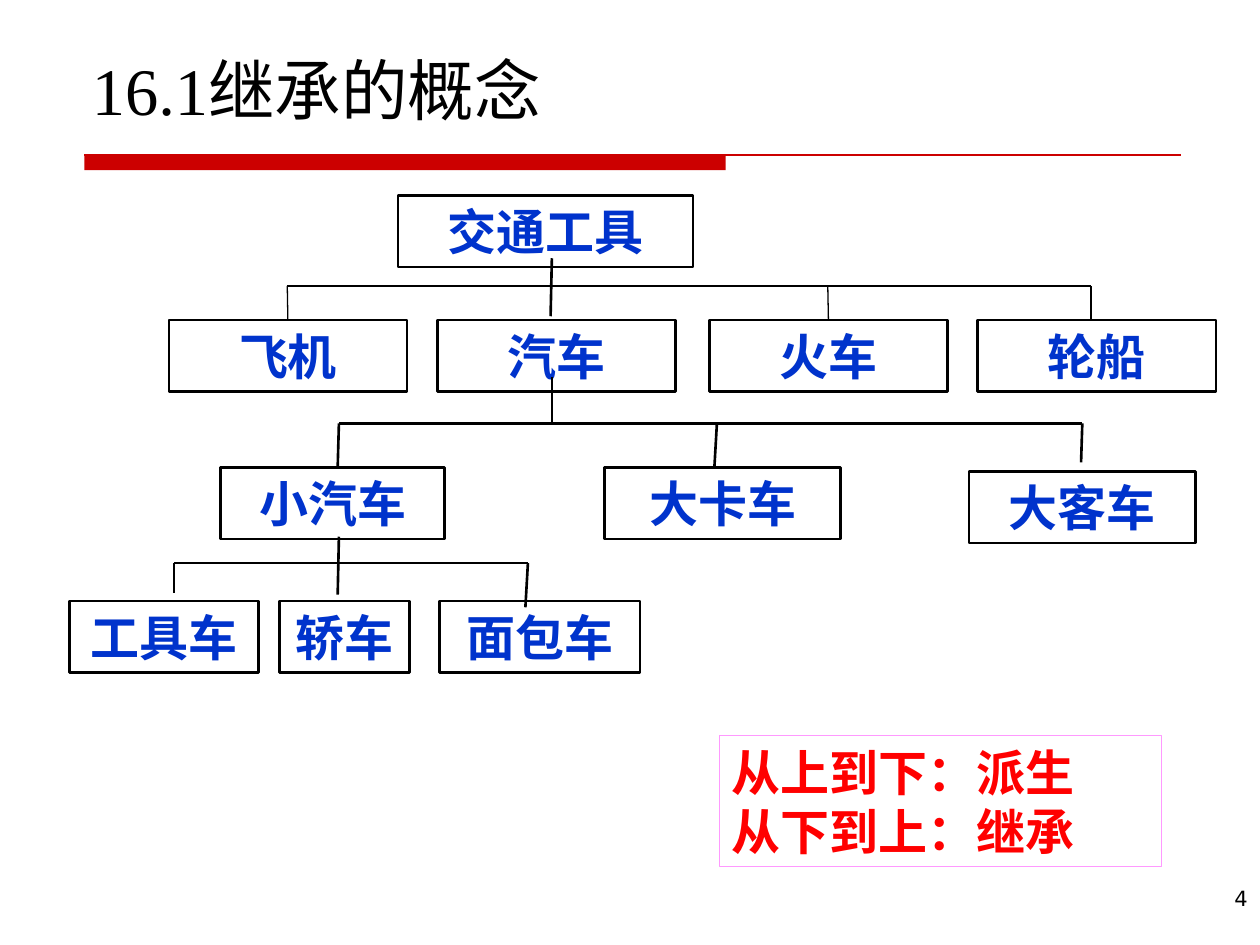
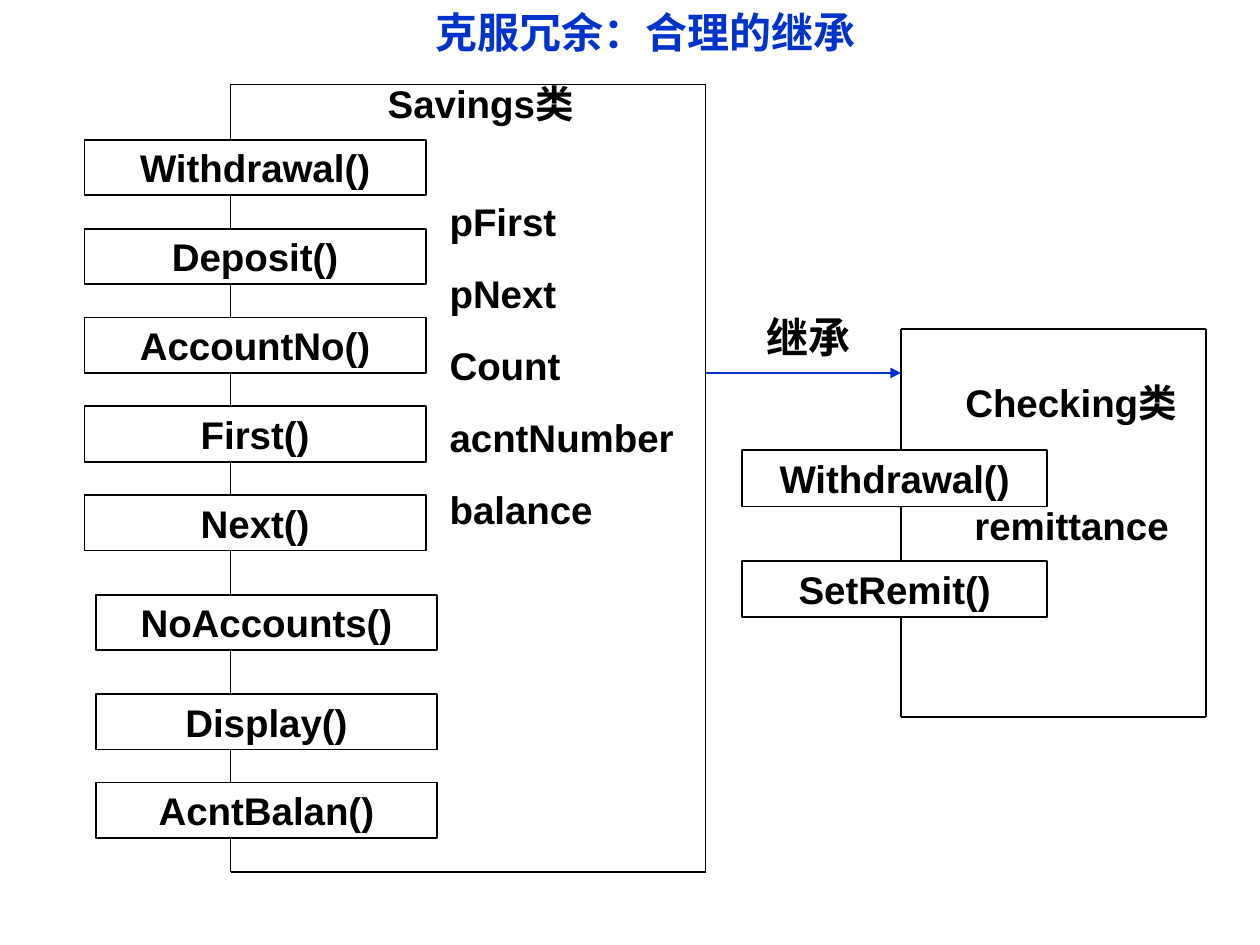
from lxml import etree
from pptx import Presentation
from pptx import util as u
from pptx.dml.color import RGBColor
from pptx.enum import shapes, text
from pptx.oxml import ns

BLACK = RGBColor(0x00, 0x00, 0x00)
BLUE = RGBColor(0x00, 0x33, 0xCC)
RED = RGBColor(0xFF, 0x00, 0x00)
BAND_RED = RGBColor(0xCC, 0x00, 0x00)
PINK = RGBColor(0xFF, 0x99, 0xFF)
LEFT, CENTER, RIGHT = text.PP_ALIGN.LEFT, text.PP_ALIGN.CENTER, text.PP_ALIGN.RIGHT
TOP, MIDDLE, BOTTOM = text.MSO_ANCHOR.TOP, text.MSO_ANCHOR.MIDDLE, text.MSO_ANCHOR.BOTTOM
CJK_FONT = "Noto Sans CJK SC"


class Deck:
    """Draw styled elements on the current slide."""

    def __init__(self):
        self.prs = Presentation()
        self.prs.slide_width, self.prs.slide_height = u.Inches(10), u.Inches(7.5)
        self.s = None

    def new_slide(self):
        self.s = self.prs.slides.add_slide(self.prs.slide_layouts[6])

    def set_text(self, sp, words, size, color, font="Arial", bold=True,
                 align=CENTER, anchor=MIDDLE, gap=0):
        tf = sp.text_frame
        tf.word_wrap = True
        tf.vertical_anchor = anchor
        tf.text = words
        for i, p in enumerate(tf.paragraphs):
            p.alignment = align
            if i and gap:
                p.space_before = u.Pt(gap)
            for r in p.runs:
                r.font.name, r.font.size, r.font.bold = font, u.Pt(size), bold
                r.font.color.rgb = color
                if font == CJK_FONT:
                    ea = etree.SubElement(r.font._element, ns.qn("a:ea"))
                    ea.set("typeface", font)

    def label(self, words, x, y, w, h, size=22, color=BLACK, **style):
        sp = self.s.shapes.add_textbox(*map(u.Inches, (x, y, w, h)))
        self.set_text(sp, words, size, color, **style)

    def box(self, words, x, y, w, h, size, color, line=BLACK, width=1.5, **style):
        sp = self.s.shapes.add_shape(shapes.MSO_SHAPE.RECTANGLE, *map(u.Inches, (x, y, w, h)))
        sp.shadow.inherit = False
        sp.fill.background()
        sp.line.color.rgb, sp.line.width = line, u.Pt(width)
        self.set_text(sp, words, size, color, **style)
        return sp

    def line(self, x1, y1, x2, y2, width=1.5, color=BLACK, arrow=False, target=None):
        c = self.s.shapes.add_connector(shapes.MSO_CONNECTOR.STRAIGHT,
                                        *map(u.Inches, (x1, y1, x2, y2)))
        c.line.color.rgb, c.line.width = color, u.Pt(width)
        if arrow:
            etree.SubElement(c.line._get_or_add_ln(), ns.qn("a:tailEnd"), type="triangle")
        etree.SubElement(c._element.spPr, ns.qn("a:effectLst"))
        if target is not None:
            c.end_connect(target, 0)

    def title_band(self, title):
        sp = self.s.shapes.add_shape(shapes.MSO_SHAPE.RECTANGLE,
                                     *map(u.Inches, (0.67, 1.23, 5.09, 0.12)))
        sp.shadow.inherit = False
        sp.fill.solid()
        sp.fill.fore_color.rgb = BAND_RED
        sp.line.fill.background()
        self.line(0.67, 1.23, 9.37, 1.23, 0.75, BAND_RED)
        self.label(title, 0.63, 0.33, 8.75, 0.74, 38, font="Times New Roman",
                   bold=False, align=LEFT, anchor=BOTTOM)

    def page_number(self, number):
        self.label(number, 7.86, 6.98, 2.14, 0.52, 12, font="DejaVu Sans",
                   bold=False, align=RIGHT, anchor=TOP)

    def class_frame(self, left, top, right, bottom, methods, w, h):
        y_from = top
        for name, x, y in methods:
            self.line(left, y_from, left, y, 1)
            self.box(name, x, y, w, h, 22, BLACK, width=1)
            y_from = y + h
        self.line(left, y_from, left, bottom, 1)
        for y in (top, bottom):
            self.line(left, y, right, y, 1)
        self.line(right, top, right, bottom, 1)


def vehicle_tree(deck):
    deck.new_slide()
    deck.title_band("16.1继承的概念")
    deck.page_number("4")
    vehicles = [
        ("交通工具", 3.16, 1.55, 2.34), ("飞机", 1.34, 2.54, 1.89),
        ("汽车", 3.47, 2.54, 1.89), ("火车", 5.63, 2.54, 1.89),
        ("轮船", 7.76, 2.54, 1.89), ("小汽车", 1.75, 3.71, 1.78),
        ("大卡车", 4.8, 3.71, 1.87), ("大客车", 7.69, 3.74, 1.8),
        ("工具车", 0.55, 4.77, 1.5), ("轿车", 2.22, 4.77, 1.03),
        ("面包车", 3.49, 4.77, 1.59),
    ]
    nodes = {name: deck.box(name, x, y, w, 0.57, 28, BLUE) for name, x, y, w in vehicles}

    for stem in [(4.38, 2.05, 4.37, 2.51), (4.38, 2.99, 4.38, 3.36), (2.69, 4.26, 2.68, 4.72)]:
        deck.line(*stem)
    branches = [
        (2.27, 0.75, [(2.28, 2.28, 2.54, "飞机"), (6.57, 6.57, 2.54, "火车"),
                      (8.66, 8.66, 2.54, None)]),
        (3.36, 1.5, [(2.69, 2.68, 3.71, None), (5.69, 5.67, 3.71, None),
                     (8.59, 8.58, 3.67, None)]),
        (4.47, 1.5, [(1.38, 1.38, 4.71, None), (4.19, 4.17, 4.82, None)]),
    ]
    for y, width, drops in branches:
        deck.line(drops[0][0], y, drops[-1][0], y, width)
        for x1, x2, y2, name in drops:
            deck.line(x1, y, x2, y2, width, target=nodes.get(name))

    deck.box("从上到下：派生\n从下到上：继承", 5.71, 5.84, 3.51, 1.04, 28, RED,
             line=PINK, width=0.75, font="Times New Roman", align=LEFT)


def account_classes(deck):
    deck.new_slide()
    deck.label("克服冗余：合理的继承", 1.33, 0, 7.58, 0.5, 24, BLUE, font=CJK_FONT)

    names = ["Withdrawal()", "Deposit()", "AccountNo()", "First()", "Next()"]
    savings = [(name, 0.67, 1.11 + 0.705 * i) for i, name in enumerate(names)]
    savings += [("NoAccounts()", 0.76, 4.72), ("Display()", 0.76, 5.51),
                ("AcntBalan()", 0.76, 6.21)]
    deck.class_frame(1.83, 0.67, 5.6, 6.92, savings, 2.71, 0.44)
    deck.label("Savings类", 2.7, 0.58, 2.23, 0.47)
    deck.label("pFirst\npNext\nCount\nacntNumber\nbalance", 3.47, 1.55, 2.23, 2.7,
               align=LEFT, gap=14.8)

    checking = [("Withdrawal()", 5.89, 3.57), ("SetRemit()", 5.89, 4.45)]
    deck.class_frame(7.15, 2.61, 9.57, 5.69, checking, 2.42, 0.45)
    deck.label("Checking类", 7.34, 2.96, 2.32, 0.47)
    deck.label("remittance", 7.44, 3.93, 2.13, 0.47)

    deck.line(5.6, 2.96, 7.15, 2.96, 1, BLUE, arrow=True)
    deck.label("继承", 5.75, 2.42, 1.33, 0.5, 24)


def main():
    deck = Deck()
    vehicle_tree(deck)
    account_classes(deck)
    deck.prs.save("out.pptx")


if __name__ == "__main__":
    main()
